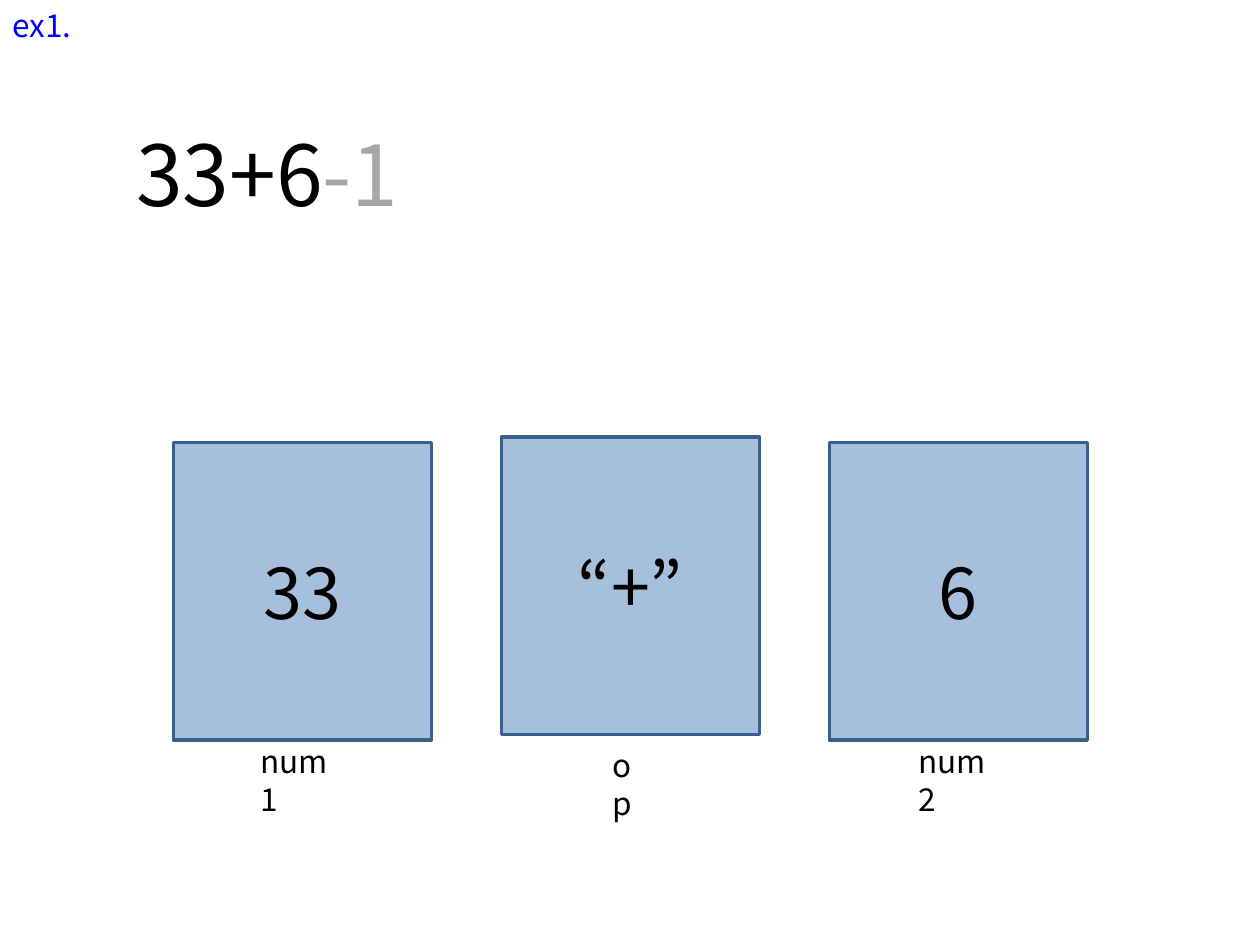
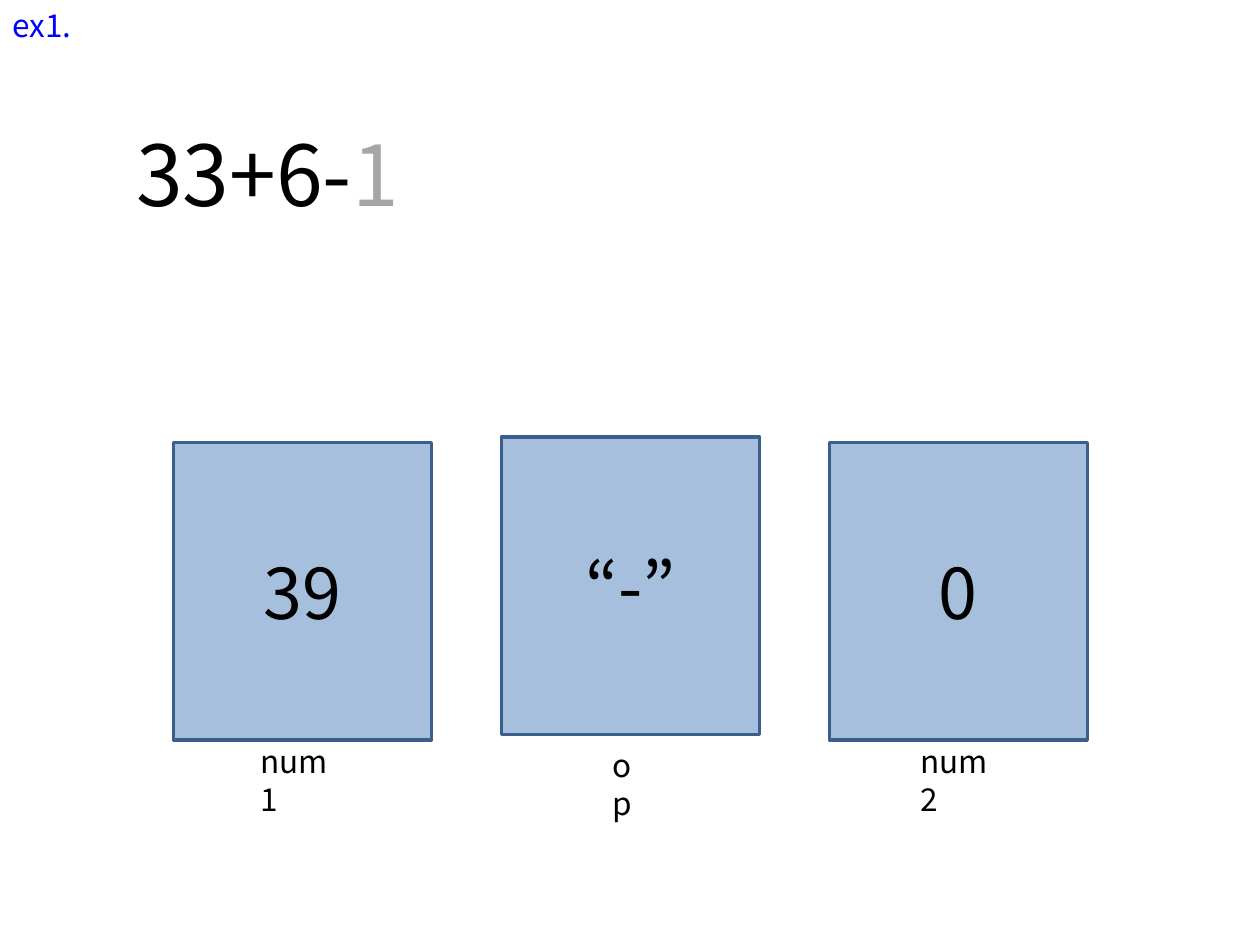
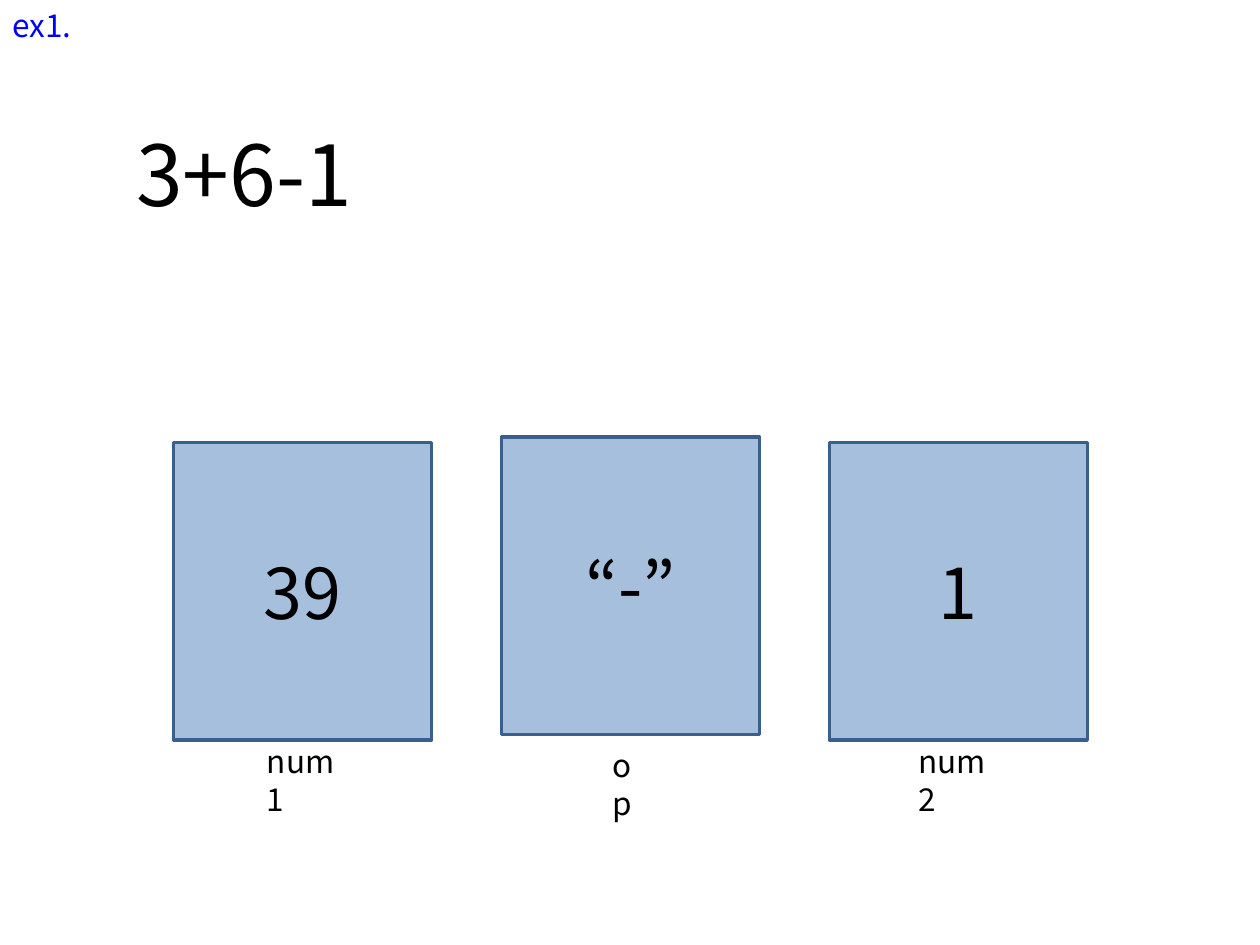
from dataclasses import dataclass

from lxml import etree
from pptx import Presentation
from pptx.dml.color import RGBColor
from pptx.enum.shapes import MSO_SHAPE
from pptx.enum.text import MSO_ANCHOR, MSO_AUTO_SIZE, PP_ALIGN
from pptx.oxml.ns import qn
from pptx.util import Cm, Pt

RECTANGLE = MSO_SHAPE.RECTANGLE
MIDDLE = MSO_ANCHOR.MIDDLE
CENTER = PP_ALIGN.CENTER
FIT_SHAPE = MSO_AUTO_SIZE.SHAPE_TO_FIT_TEXT

FONT = "Noto Sans CJK KR"
BLACK, GREY, BLUE = "000000", "A6A6A6", "0000FF"
BOX_FILL, BOX_LINE = "4F81BD", "3A5F8C"
BOX_OPACITY = 50
BOX_LEFT, BOX_PITCH = 3.5, 6.61
BOX_WIDTH, BOX_HEIGHT = 5.2, 6.0
LABEL_SIZE, VALUE_SIZE, EXPRESSION_SIZE = 18, 40, 48


@dataclass(frozen=True)
class Variable:
    """A named box; lengths in centimetres."""
    name: str
    column: int
    top: float
    label_top: float
    label_width: float
    wrap: bool = True


@dataclass(frozen=True)
class Step:
    """One stage of the calculation: values and label offsets by variable."""
    typed: str
    pending: str
    expression_width: float
    values: tuple[str, str, str]
    label_offsets: tuple[float, float, float]


# Variables in drawing order
VARIABLES = (
    Variable("num1", 0, 8.92, 14.83, 2.1),
    Variable("num2", 2, 8.92, 14.83, 2.1),
    Variable("op", 1, 8.81, 14.91, 1.27, wrap=False),
)

STEPS = (
    Step("33+6", "-1", 6.2, ("33", "6", "“+”"), (1.5, 1.54, 1.98)),
    Step("33+6-", "1", 6.2, ("39", "0", "“-”"), (1.5, 1.59, 1.98)),
    Step("3+6-1", "", 5.26, ("39", "1", "“-”"), (1.63, 1.54, 1.98)),
)


def color(value: str) -> RGBColor:
    return RGBColor.from_string(value)


def set_font(paragraph, size: float, font_color: str = BLACK) -> None:
    paragraph.font.name = FONT
    paragraph.font.size = Pt(size)
    paragraph.font.color.rgb = color(font_color)


def add_text(shapes, left: float, top: float, width: float, height: float,
             text: str, size: float, font_color: str = BLACK, wrap: bool = False):
    """Add a text box and return its paragraph."""
    shape = shapes.add_textbox(Cm(left), Cm(top), Cm(width), Cm(height))
    frame = shape.text_frame
    frame.word_wrap = wrap
    frame.auto_size = FIT_SHAPE
    paragraph = frame.paragraphs[0]
    paragraph.add_run().text = text
    set_font(paragraph, size, font_color)
    return paragraph


def add_variable(slide, variable: Variable, value: str, label_offset: float) -> None:
    """Add a group of a value box and the variable's name."""
    shapes = slide.shapes.add_group_shape().shapes
    left = BOX_LEFT + variable.column * BOX_PITCH
    box = shapes.add_shape(RECTANGLE, Cm(left), Cm(variable.top),
                           Cm(BOX_WIDTH), Cm(BOX_HEIGHT))
    box.shadow.inherit = False
    box.fill.solid()
    box.fill.fore_color.rgb = color(BOX_FILL)
    fill_color = box.fill._xPr.find(qn("a:solidFill"))[0]
    etree.SubElement(fill_color, qn("a:alpha"), val=str(BOX_OPACITY * 1000))
    box.line.color.rgb = color(BOX_LINE)
    box.line.width = Pt(2)
    box.text_frame.vertical_anchor = MIDDLE
    paragraph = box.text_frame.paragraphs[0]
    paragraph.add_run().text = value
    paragraph.alignment = CENTER
    set_font(paragraph, VALUE_SIZE)

    add_text(shapes, left + label_offset, variable.label_top, variable.label_width,
             1.03, variable.name, LABEL_SIZE, wrap=variable.wrap)


def add_step(presentation, step: Step) -> None:
    slide = presentation.slides.add_slide(presentation.slide_layouts[6])

    # Expression, with the part not yet read in grey
    expression = add_text(slide.shapes, 2.5, 2.34, step.expression_width, 2.31,
                          step.typed, EXPRESSION_SIZE)
    if step.pending:
        run = expression.add_run()
        run.text = step.pending
        run.font.color.rgb = color(GREY)

    # Variable boxes
    for variable, value, offset in zip(VARIABLES, step.values, step.label_offsets):
        add_variable(slide, variable, value, offset)

    # Example heading
    add_text(slide.shapes, 0, 0, 1.87, 1.03, "ex1.", LABEL_SIZE, BLUE)


def main() -> None:
    presentation = Presentation()
    presentation.slide_width = Cm(25.4)
    presentation.slide_height = Cm(19.05)
    for step in STEPS:
        add_step(presentation, step)
    presentation.save("out.pptx")


if __name__ == "__main__":
    main()
